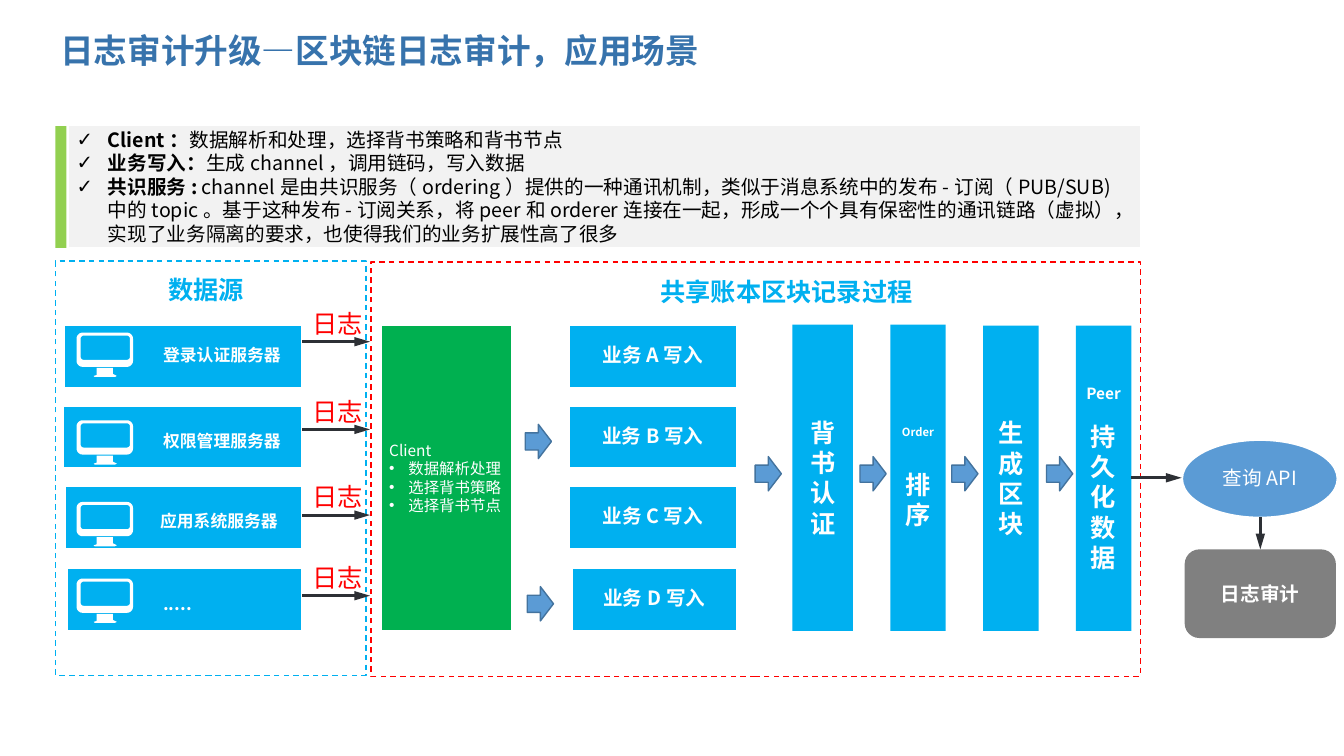
from dataclasses import dataclass
from math import cos, pi, sin

from lxml.etree import SubElement
from pptx import Presentation
from pptx.dml.color import RGBColor
from pptx.enum.dml import MSO_LINE
from pptx.enum.shapes import MSO_CONNECTOR, MSO_SHAPE
from pptx.enum.text import MSO_ANCHOR, PP_ALIGN
from pptx.oxml.ns import qn
from pptx.util import Inches, Pt

WHITE = RGBColor(0xFF, 0xFF, 0xFF)
BLACK = RGBColor(0, 0, 0)
RED = RGBColor(0xFF, 0, 0)
CYAN = RGBColor(0, 0xB0, 0xF0)
GREEN = RGBColor(0, 0xB0, 0x50)
LIME = RGBColor(0x92, 0xD0, 0x50)
PALE = RGBColor(0xF2, 0xF2, 0xF2)
GRAY = RGBColor(0x80, 0x80, 0x80)
BLUE = RGBColor(0x5B, 0x9B, 0xD5)
BLUE_EDGE = RGBColor(0x43, 0x73, 0x9E)
TITLE_BLUE = RGBColor(0x37, 0x73, 0xAC)
INK = RGBColor(0x2D, 0x30, 0x35)
FONT = "Noto Sans CJK SC"


@dataclass
class Span:
    text: str
    size: float
    color: RGBColor = WHITE
    bold: bool = False
    font: str = FONT


@dataclass
class Para:
    spans: list[Span]
    align: PP_ALIGN = PP_ALIGN.LEFT
    bullet: str = ""
    indent: float = 0
    before: float = 0
    spacing: float = 1.0


@dataclass
class Source:
    name: str
    left: float
    top: float
    name_left: float
    name_top: float
    icon_top: float
    log_y: float
    size: float = 12


@dataclass
class Stage:
    left: float
    top: float
    width: float
    height: float
    name: str
    prefix: str = ""
    prefix_size: float = 0
    gap: float = 0


SOURCES = [
    Source("登录认证服务器", 0.63, 3.22, 1.52, 3.37, 3.3, 3.39),
    Source("权限管理服务器", 0.62, 4.02, 1.52, 4.22, 4.17, 4.26),
    Source("应用系统服务器", 0.64, 4.82, 1.49, 5.02, 4.98, 5.11),
    Source(".....", 0.66, 5.63, 1.52, 5.83, 5.74, 5.91, 12.6),
]
WRITES = [("A", 5.64, 3.22), ("B", 5.64, 4.02), ("C", 5.64, 4.82), ("D", 5.67, 5.63)]
STAGES = [
    Stage(7.86, 3.22, 0.6, 3.04, "背书认证"),
    Stage(8.83, 3.22, 0.55, 3.04, "排序", "Order", 8, 21.6),
    Stage(9.75, 3.23, 0.55, 3.03, "生成区块"),
    Stage(10.67, 3.23, 0.55, 3.03, "持久化数据", "Peer", 11, 13.2),
]
BLOCK_ARROWS = [(5.21, 4.21), (5.23, 5.82), (7.49, 4.53), (8.53, 4.53), (9.44, 4.53), (10.38, 4.53)]
NOTES = [
    ("Client：", "数据解析和处理，选择背书策略和背书节点"),
    ("业务写入：", "生成channel，调用链码，写入数据"),
    ("共识服务:", " channel是由共识服务（ordering）提供的一种通讯机制，类似于消息系统中的发布-订阅（PUB/SUB)"
     "中的topic。基于这种发布-订阅关系，将peer和orderer连接在一起，形成一个个具有保密性的通讯链路（虚拟），"
     "实现了业务隔离的要求，也使得我们的业务扩展性高了很多"),
]


def write(shape, paras: list[Para], anchor=MSO_ANCHOR.MIDDLE, inset: float = 0.1) -> None:
    frame = shape.text_frame
    frame.word_wrap = True
    frame.vertical_anchor = anchor
    frame.margin_left = frame.margin_right = Inches(inset)
    for index, item in enumerate(paras):
        para = frame.add_paragraph() if index else frame.paragraphs[0]
        para.alignment = item.align
        para.line_spacing = item.spacing
        para.space_before = Pt(item.before)
        if item.bullet:
            props = para._p.get_or_add_pPr()
            props.set("marL", str(Inches(item.indent)))
            props.set("indent", str(-Inches(item.indent)))
            SubElement(props, qn("a:buFont"), typeface="Arial")
            SubElement(props, qn("a:buChar"), char=item.bullet)
        for part in item.spans:
            span = para.add_run()
            span.text = part.text
            span.font.size = Pt(part.size)
            span.font.bold = part.bold
            span.font.color.rgb = part.color
            span.font.name = part.font
            SubElement(span._r.get_or_add_rPr(), qn("a:ea"), typeface=FONT)


def add_block(page, kind, left, top, width, height, fill, edge=None, weight=2.0):
    shape = page.shapes.add_shape(kind, Inches(left), Inches(top), Inches(width), Inches(height))
    shape.shadow.inherit = False
    shape.fill.solid()
    shape.fill.fore_color.rgb = fill
    if edge is None:
        shape.line.fill.background()
    else:
        shape.line.color.rgb = edge
        shape.line.width = Pt(weight)
    return shape


def add_label(page, left, top, width, height, span: Span, align=PP_ALIGN.LEFT, anchor=MSO_ANCHOR.TOP) -> None:
    box = page.shapes.add_textbox(Inches(left), Inches(top), Inches(width), Inches(height))
    write(box, [Para([span], align)], anchor)


def add_arrow(page, x1: float, y1: float, x2: float, y2: float) -> None:
    arrow = page.shapes.add_connector(MSO_CONNECTOR.STRAIGHT, Inches(x1), Inches(y1), Inches(x2), Inches(y2))
    arrow.line.color.rgb = INK
    arrow.line.width = Pt(2.25)
    SubElement(arrow.line._get_or_add_ln(), qn("a:tailEnd"), type="triangle", w="med", len="lg")
    SubElement(arrow._element.spPr, qn("a:effectLst"))


def rounded_outline(left, top, right, bottom, radius) -> list[tuple[float, float]]:
    corners = [(right - radius, bottom - radius), (left + radius, bottom - radius),
               (left + radius, top + radius), (right - radius, top + radius)]
    return [(x + radius * cos(angle), y + radius * sin(angle))
            for quarter, (x, y) in enumerate(corners)
            for angle in [(quarter + step / 6) * pi / 2 for step in range(7)]]


def add_monitor(page, top: float) -> None:
    case = rounded_outline(0.76, top, 1.32, top + 0.34, 0.06)
    screen = rounded_outline(0.8, top + 0.03, 1.29, top + 0.27, 0.03)[::-1]
    stand = [(x, top + y) for x, y in [(1.12, 0.35), (1.12, 0.41), (1.16, 0.43), (1.14, 0.44),
                                       (0.94, 0.44), (0.93, 0.43), (0.96, 0.42), (0.96, 0.35)]]
    builder = page.shapes.build_freeform(*[value * 1000 for value in case[0]], scale=914.4)
    for outline in (case, screen, stand):
        points = [(x * 1000, y * 1000) for x, y in outline]
        if outline is not case:
            builder.move_to(*points[0])
        builder.add_line_segments(points[1:], close=True)
    monitor = builder.convert_to_shape()
    monitor.shadow.inherit = False
    monitor.fill.solid()
    monitor.fill.fore_color.rgb = WHITE
    monitor.line.fill.background()


def main() -> None:
    deck = Presentation()
    deck.slide_width, deck.slide_height = Inches(13.33), Inches(7.5)
    page = deck.slides.add_slide(deck.slide_layouts[6])
    center = PP_ALIGN.CENTER

    for left, top, width, edge in [(3.68, 2.6, 7.63, RED), (0.55, 2.59, 3.08, CYAN)]:
        zone = add_block(page, MSO_SHAPE.RECTANGLE, left, top, width, 4.11, WHITE, edge, 1)
        zone.line.dash_style = MSO_LINE.DASH
    add_label(page, 0.5, 0.18, 9.53, 0.63, Span("日志审计升级—区块链日志审计，应用场景", 24, TITLE_BLUE, True),
              anchor=MSO_ANCHOR.MIDDLE)
    add_label(page, 1.54, 2.67, 1.01, 0.4, Span("数据源", 18, CYAN, True), center)
    add_label(page, 6.16, 2.69, 3.28, 0.4, Span("共享账本区块记录过程", 18, CYAN, True), center)

    notes = add_block(page, MSO_SHAPE.RECTANGLE, 0.67, 1.24, 10.65, 1.22, PALE, WHITE)
    write(notes, [Para([Span(term, 14, BLACK, True), Span(text, 14, BLACK)], bullet="✓", indent=0.31)
                  for term, text in NOTES], inset=0.09)
    add_block(page, MSO_SHAPE.RECTANGLE, 0.55, 1.25, 0.11, 1.21, LIME)

    for source in SOURCES:
        add_block(page, MSO_SHAPE.RECTANGLE, source.left, source.top, 3 - source.left, 0.63, CYAN, WHITE)
        add_label(page, source.name_left, source.name_top, 1.48, 0.32, Span(source.name, source.size, bold=True))
        add_monitor(page, source.icon_top)
        add_arrow(page, 3, source.log_y, 3.67, source.log_y)
        add_label(page, 3, source.log_y - 0.38, 0.77, 0.4, Span("日志", 18, RED))

    client = add_block(page, MSO_SHAPE.RECTANGLE, 3.77, 3.22, 1.31, 3.04, GREEN, WHITE)
    tasks = [Para([Span(task, 11)], bullet="•", indent=0.19)
             for task in ("数据解析处理", "选择背书策略", "选择背书节点")]
    write(client, [Para([Span("Client", 11)])] + tasks, inset=0.09)

    for letter, left, top in WRITES:
        block = add_block(page, MSO_SHAPE.RECTANGLE, left, top, 7.31 - left, 0.63, CYAN, WHITE)
        write(block, [Para([Span(f"业务{letter}写入", 14, bold=True)], center, spacing=0.9)], inset=0.09)

    for stage in STAGES:
        column = add_block(page, MSO_SHAPE.ROUNDED_RECTANGLE, stage.left, stage.top, stage.width, stage.height, CYAN)
        column.adjustments[0] = 0
        prefix = [Para([Span(stage.prefix, stage.prefix_size, bold=True)], center)] if stage.prefix else []
        write(column, prefix + [Para([Span(stage.name, 18, bold=True)], center, before=stage.gap)], inset=0.08)
    for left, top in BLOCK_ARROWS:
        add_block(page, MSO_SHAPE.RIGHT_ARROW, left, top, 0.26, 0.34, BLUE, BLUE_EDGE, 1)

    query = add_block(page, MSO_SHAPE.OVAL, 11.72, 4.36, 1.55, 0.78, BLUE, WHITE)
    write(query, [Para([Span("查询API", 14)], center, spacing=0.9)], inset=0.09)
    audit = add_block(page, MSO_SHAPE.ROUNDED_RECTANGLE, 11.75, 5.45, 1.5, 0.88, GRAY)
    write(audit, [Para([Span("日志审计", 14, bold=True, font="Calibri")], center)])
    add_arrow(page, 11.22, 4.74, 11.72, 4.74)
    add_arrow(page, 12.5, 5.13, 12.5, 5.45)

    deck.save("out.pptx")


if __name__ == "__main__":
    main()
